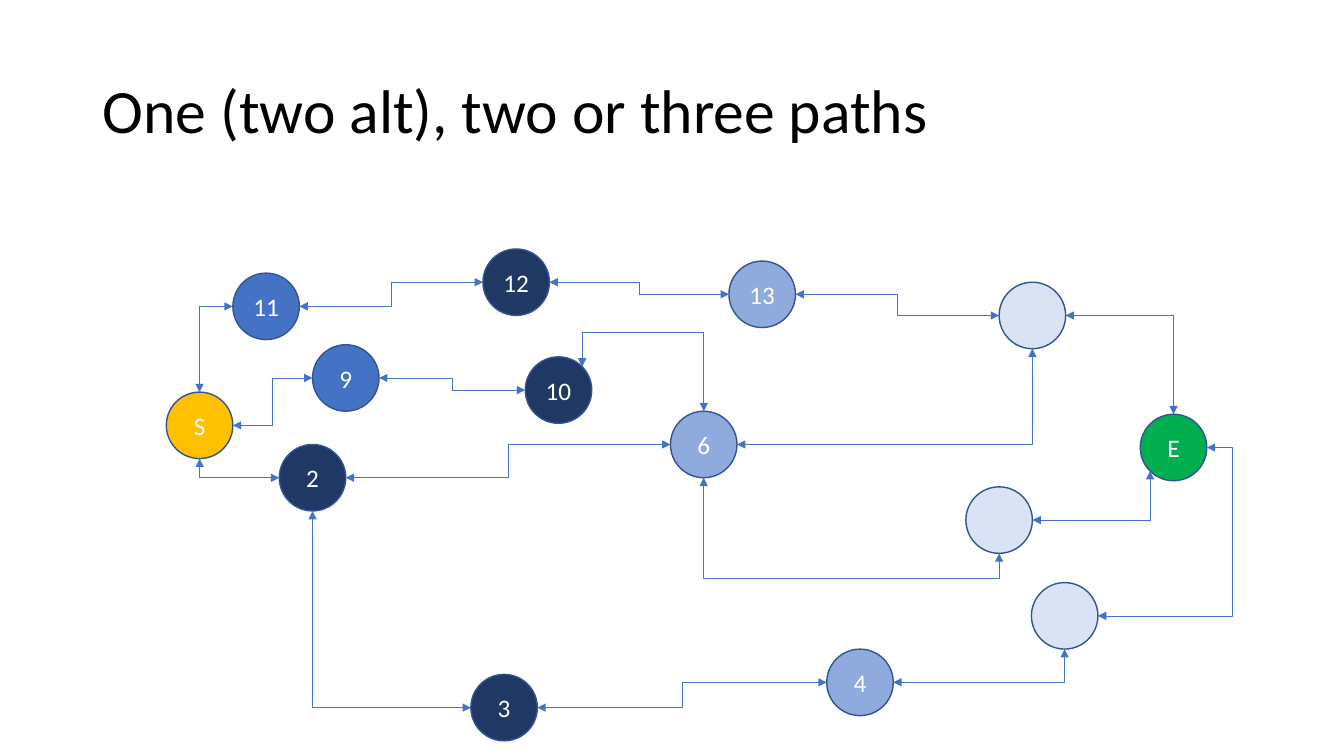
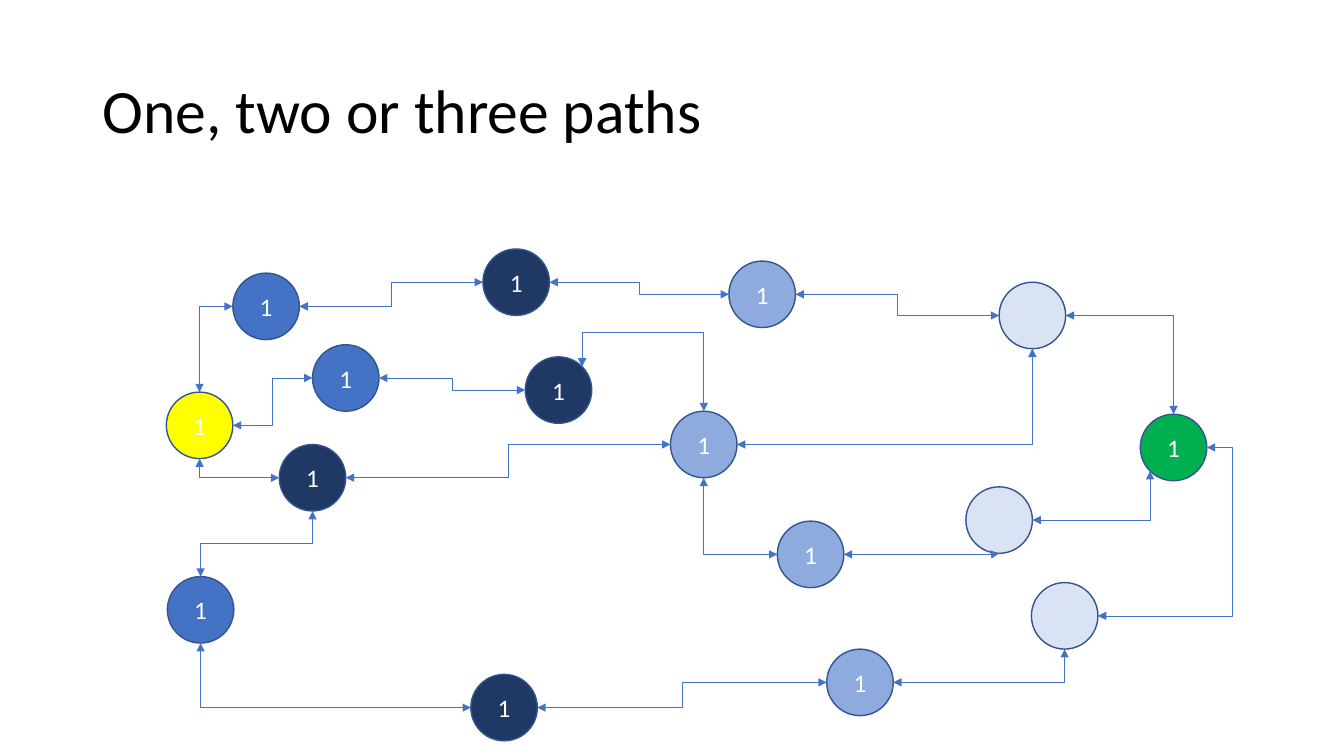
from math import sqrt
from pptx import Presentation
from pptx.util import Inches, Pt
from pptx.dml.color import RGBColor
from pptx.enum.shapes import MSO_SHAPE as SHAPE, MSO_CONNECTOR as LINK
from pptx.enum.text import PP_ALIGN as ALIGN, MSO_ANCHOR as ANCHOR
from pptx.oxml.ns import qn
from lxml.etree import SubElement

# Content: stops as name: (left, top, tone)
STOPS = {
    "S": (1.65, 3.89, "gold"), "E": (11.31, 4.11, "green"),
    "2": (2.77, 4.41, "navy"), "3": (4.67, 6.69, "navy"),
    "4": (8.2, 6.44, "soft"), "5": (10.23, 5.78, "pale"),
    "6": (6.65, 4.08, "soft"), "7": (9.58, 4.83, "pale"),
    "8": (9.91, 2.8, "pale"), "9": (3.1, 3.42, "blue"),
    "10": (5.21, 3.54, "navy"), "11": (2.31, 2.71, "blue"),
    "12": (4.79, 2.47, "navy"), "13": (7.23, 2.59, "soft"),
}
MORE = {"S": (1.65, 3.89, "yellow"), "14": (7.71, 5.17, "soft"),
        "15": (1.66, 5.72, "blue")}

# Links: stop, side, stop, side, place of the bend.
# A link with one corner starts at its level end, an upright one at its top.
LINKS = [
    ("11", "left", "S", "top"), ("11", "right", "12", "left"),
    ("12", "right", "13", "left"), ("13", "right", "8", "left"),
    ("8", "right", "E", "top"), ("S", "right", "9", "left"),
    ("9", "right", "10", "left"), ("10", "top right", "6", "top", -0.775),
    ("6", "right", "8", "bottom"), ("2", "left", "S", "bottom"),
    ("2", "right", "6", "left"), ("7", "right", "E", "bottom left"),
    ("3", "right", "4", "left"), ("4", "right", "5", "bottom"),
    ("E", "right", "5", "right", -0.232),
]
SHORT = [("3", "left", "2", "bottom"), ("6", "bottom", "7", "bottom", 1.337)]
LONG = [("14", "left", "6", "bottom"), ("14", "right", "7", "bottom"),
        ("2", "bottom", "15", "top"), ("3", "left", "15", "bottom")]
PAGES = [
    ("One (two alt), two or three paths", STOPS, LINKS + SHORT, None),
    ("One, two or three paths", STOPS | MORE, LINKS + LONG, "1"),
]

# Shared style
TONES = {"gold": "FFC000", "yellow": "FFFF00", "green": "00B050",
         "navy": "203864", "blue": "4472C4", "soft": "8FAADC", "pale": "DAE3F3"}
EDGE, WIRE, WHITE, BLACK = "325491", "4472C4", "FFFFFF", "000000"
SIZE = 0.66
NEAR = 0.5 - sqrt(2) / 4
# Side: (glue point, share of width, share of height)
SIDES = {"top": (0, 0.5, 0), "left": (2, 0, 0.5),
         "bottom left": (3, NEAR, 1 - NEAR), "bottom": (4, 0.5, 1),
         "right": (6, 1, 0.5), "top right": (7, 1 - NEAR, NEAR)}


def tint(code):
    return RGBColor.from_string(code)


def write(frame, text, size, color, align):
    frame.vertical_anchor = ANCHOR.MIDDLE
    para = frame.paragraphs[0]
    para.alignment = align
    run = para.add_run()
    run.text = text
    form = {"name": "Calibri", "size": Pt(size), "bold": False}
    for key, value in form.items():
        setattr(run.font, key, value)
    run.font.color.rgb = tint(color)
    return para


def head(slide, text):
    title = slide.shapes.title
    box = {"left": 0.92, "top": 0.4, "width": 11.5, "height": 1.45}
    for key, value in box.items():
        setattr(title, key, Inches(value))
    write(title.text_frame, text, 44, BLACK, ALIGN.LEFT).line_spacing = 0.9


def stop(slide, left, top, tone, label):
    ball = slide.shapes.add_shape(
        SHAPE.OVAL, *map(Inches, (left, top, SIZE, SIZE)))
    ball.shadow.inherit = False
    ball.fill.solid()
    ball.fill.fore_color.rgb = tint(TONES[tone])
    ball.line.color.rgb = tint(EDGE)
    ball.line.width = Pt(1)
    # White would not stand out on the pale tone
    if tone != "pale":
        ball.text_frame.word_wrap = False
        write(ball.text_frame, label, 18, WHITE, ALIGN.CENTER)
    return ball


def join(slide, balls, first, out, last, into, bend=0.5):
    ends = [(balls[first], *SIDES[out]), (balls[last], *SIDES[into])]
    (ax, ay), (bx, by) = [
        (int(ball.left + ball.width * x), int(ball.top + ball.height * y))
        for ball, _, x, y in ends]
    wire = slide.shapes.add_connector(LINK.ELBOW, ax, ay, bx, by)
    wire.line.color.rgb = tint(WIRE)
    wire.line.width = Pt(0.5)
    props = wire._element.spPr
    frame, geom = props.find(qn("a:xfrm")), props.find(qn("a:prstGeom"))

    # Shape of the bend
    level = [side in ("left", "right") for side in (out, into)]
    turn, flips = 0, None
    if level[0] != level[1]:
        geom.set("prst", "bentConnector2")
    else:
        guides = geom.find(qn("a:avLst"))
        if guides is None:
            guides = SubElement(geom, qn("a:avLst"))
        SubElement(guides, qn("a:gd"), name="adj1",
                   fmla=f"val {round(bend * 100000)}")
    if not any(level):
        wide, tall = abs(bx - ax), by - ay
        wire.left, wire.top = (ax + bx - tall) // 2, (ay + by - wide) // 2
        wire.width, wire.height = tall, wide
        turn, flips = (270, ["flipH"]) if bx > ax else (90, [])
    elif bx < ax and by < ay:
        turn, flips = 180, []
    if flips is not None:
        for key in ("flipH", "flipV"):
            frame.attrib.pop(key, None)
        for key in flips:
            frame.set(key, "1")
        frame.set("rot", str(turn * 60000))

    # Arrowheads, glue and no shadow
    line = props.find(qn("a:ln"))
    for tag in ("a:headEnd", "a:tailEnd"):
        SubElement(line, qn(tag), type="triangle")
    SubElement(props, qn("a:effectLst"))
    glue = wire._element.find(f"{qn('p:nvCxnSpPr')}/{qn('p:cNvCxnSpPr')}")
    for tag, (ball, site, _, _) in zip(("a:stCxn", "a:endCxn"), ends):
        SubElement(glue, qn(tag), id=str(ball.shape_id), idx=str(site))


# Build the slides
deck = Presentation()
deck.slide_width, deck.slide_height = Inches(13.33), Inches(7.5)
for text, stops, links, label in PAGES:
    slide = deck.slides.add_slide(deck.slide_layouts[5])
    head(slide, text)
    balls = {name: stop(slide, *spot, label or name)
             for name, spot in stops.items()}
    for link in links:
        join(slide, balls, *link)
deck.save("out.pptx")
